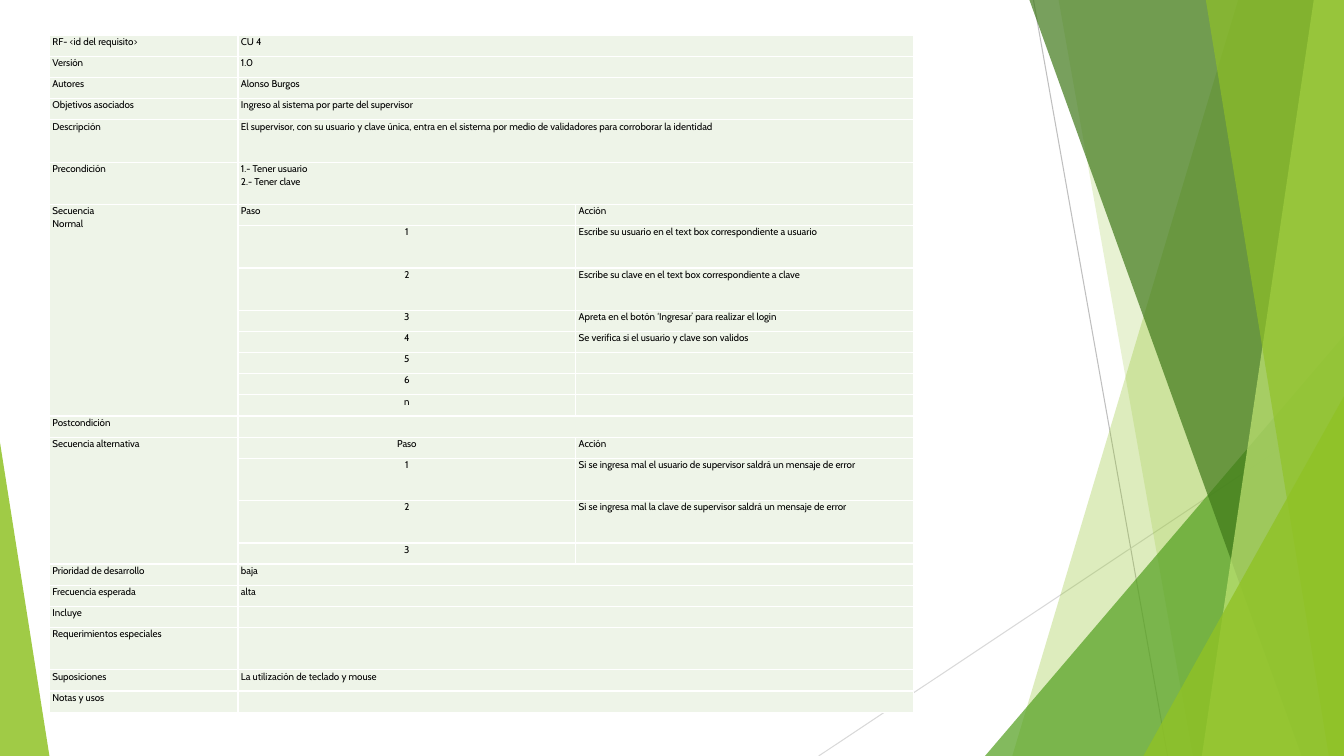
from dataclasses import dataclass

from lxml.etree import SubElement
from pptx import Presentation
from pptx.dml.color import RGBColor
from pptx.enum.shapes import MSO_CONNECTOR, MSO_SHAPE
from pptx.enum.text import PP_ALIGN
from pptx.oxml.ns import qn
from pptx.util import Inches, Pt


@dataclass(frozen=True)
class Theme:
    font: str = "Cabin"
    size: float = 7
    spacing: float = 1.07
    text: str = "000000"
    cell: str = "EEF4E8"
    border: str = "FFFFFF"
    lime: str = "90C226"
    green: str = "54A021"
    forest: str = "3F7819"
    pale: str = "C0E474"
    gray: str = "BFBFBF"
    light_gray: str = "D9D9D9"


@dataclass(frozen=True)
class Row:
    value: str = ""
    action: str | None = None
    units: int = 1
    align: PP_ALIGN = PP_ALIGN.CENTER


THEME = Theme()
WIDTH, HEIGHT = 13.33, 7.5
ROW_UNIT = 0.21
COLUMNS = (1.87, 3.35, 3.35)

REQUIREMENT = [
    ("RF- <id del requisito>", [Row("CU 4")]),
    ("Versión", [Row("1.0")]),
    ("Autores", [Row("Alonso Burgos")]),
    ("Objetivos asociados", [Row("Ingreso al sistema por parte del supervisor")]),
    ("Descripción", [Row("El supervisor, con su usuario y clave única, entra en el sistema "
                         "por medio de validadores para corroborar la identidad", units=2)]),
    ("Precondición", [Row("1.- Tener usuario\n2.- Tener clave", units=2)]),
    ("Secuencia\nNormal", [
        Row("Paso", "Acción", align=PP_ALIGN.LEFT),
        Row("1", "Escribe su usuario en el text box correspondiente a usuario", 2),
        Row("2", "Escribe su clave en el text box correspondiente a clave", 2),
        Row("3", "Apreta en el botón ‘Ingresar’ para realizar el login"),
        Row("4", "Se verifica si el usuario y clave son validos"),
        Row("5", ""),
        Row("6", ""),
        Row("n", ""),
    ]),
    ("Postcondición", [Row()]),
    ("Secuencia alternativa", [
        Row("Paso", "Acción"),
        Row("1", "Si se ingresa mal el usuario de supervisor saldrá un mensaje de error", 2),
        Row("2", "Si se ingresa mal la clave de supervisor saldrá un mensaje de error", 2),
        Row("3", ""),
    ]),
    ("Prioridad de desarrollo", [Row("baja")]),
    ("Frecuencia esperada", [Row("alta")]),
    ("Incluye", [Row()]),
    ("Requerimientos especiales", [Row(units=2)]),
    ("Suposiciones", [Row("La utilización de teclado y mouse")]),
    ("Notas y usos", [Row()]),
]


def paint(shape, color, opacity):
    shape.shadow.inherit = False
    shape.line.fill.background()
    shape.fill.solid()
    shape.fill.fore_color.rgb = RGBColor.from_string(color)
    color_node = shape.fill._xPr.find(qn("a:solidFill"))[0]
    SubElement(color_node, qn("a:alpha"), val=str(opacity * 1000))


def add_line(page, start, end, color):
    line = page.shapes.add_connector(MSO_CONNECTOR.STRAIGHT, *map(Inches, start + end))
    line.line.color.rgb = RGBColor.from_string(color)
    line.line.width = Pt(0.75)
    SubElement(line._element.spPr, qn("a:effectLst"))


def add_band(page, top_left, bottom_left, color, opacity):
    corners = [(WIDTH, 0), (WIDTH, HEIGHT), (bottom_left, HEIGHT)]
    builder = page.shapes.build_freeform(Inches(top_left), 0)
    builder.add_line_segments([(Inches(x), Inches(y)) for x, y in corners], close=True)
    paint(builder.convert_to_shape(), color, opacity)


def add_triangle(page, left, top, width, apex, color, opacity):
    triangle = page.shapes.add_shape(
        MSO_SHAPE.ISOSCELES_TRIANGLE,
        Inches(left), Inches(top), Inches(width), Inches(HEIGHT - top))
    triangle.adjustments[0] = apex
    paint(triangle, color, opacity)


def add_backdrop(page):
    add_line(page, (10.25, 0), (11.58, HEIGHT), THEME.gray)
    add_line(page, (WIDTH, 4.03), (8.12, HEIGHT), THEME.light_gray)
    add_band(page, 12.28, 10.04, THEME.lime, 30)
    add_band(page, 10.5, 11.83, THEME.lime, 20)
    add_triangle(page, 9.77, 3.33, 3.56, 1, THEME.green, 72)
    add_band(page, 10.21, 12.91, THEME.forest, 70)
    add_band(page, 13.03, 11.92, THEME.pale, 70)
    add_band(page, 11.96, 13.18, THEME.lime, 65)
    add_triangle(page, 11.34, 3.93, 1.99, 1, THEME.lime, 80)
    add_triangle(page, 0, 4.39, 0.49, 0, THEME.lime, 85)


def style_cell(cell):
    cell.margin_left = cell.margin_right = Inches(0.03)
    cell.margin_top = cell.margin_bottom = 0
    properties = cell._tc.get_or_add_tcPr()
    for side in ("lnL", "lnR", "lnT", "lnB"):
        border = SubElement(properties, qn(f"a:{side}"), w=str(Pt(1)))
        fill = SubElement(border, qn("a:solidFill"))
        SubElement(fill, qn("a:srgbClr"), val=THEME.border)
    cell.fill.solid()
    cell.fill.fore_color.rgb = RGBColor.from_string(THEME.cell)
    for para in cell.text_frame.paragraphs:
        para.line_spacing = THEME.spacing
        for span in para.runs:
            span.font.name = THEME.font
            span.font.size = Pt(THEME.size)
            span.font.color.rgb = RGBColor.from_string(THEME.text)
        if not para.runs:
            ending = SubElement(para._p, qn("a:endParaRPr"), sz=str(THEME.size * 100))
            SubElement(ending, qn("a:latin"), typeface=THEME.font)


def fill_section(table, first, label, rows):
    table.cell(first, 0).text = label
    if len(rows) > 1:
        table.cell(first, 0).merge(table.cell(first + len(rows) - 1, 0))
    for index, row in enumerate(rows, first):
        table.rows[index].height = Inches(ROW_UNIT * row.units)
        value = table.cell(index, 1)
        value.text = row.value
        if row.action is None:
            value.merge(table.cell(index, 2))
        else:
            value.text_frame.paragraphs[0].alignment = row.align
            table.cell(index, 2).text = row.action


def add_requirement_table(page):
    rows = [row for _, section in REQUIREMENT for row in section]
    height = ROW_UNIT * sum(row.units for row in rows)
    table = page.shapes.add_table(
        len(rows), len(COLUMNS), Inches(0.49), Inches(0.35),
        Inches(sum(COLUMNS)), Inches(height)).table
    table.first_row = False
    table.horz_banding = False
    for column, width in zip(table.columns, COLUMNS):
        column.width = Inches(width)
    first = 0
    for label, section in REQUIREMENT:
        fill_section(table, first, label, section)
        first += len(section)
    for cell in table.iter_cells():
        style_cell(cell)


def main():
    deck = Presentation()
    deck.slide_width, deck.slide_height = Inches(WIDTH), Inches(HEIGHT)
    page = deck.slides.add_slide(deck.slide_layouts[6])
    add_backdrop(page)
    add_requirement_table(page)
    deck.save("out.pptx")


if __name__ == "__main__":
    main()
